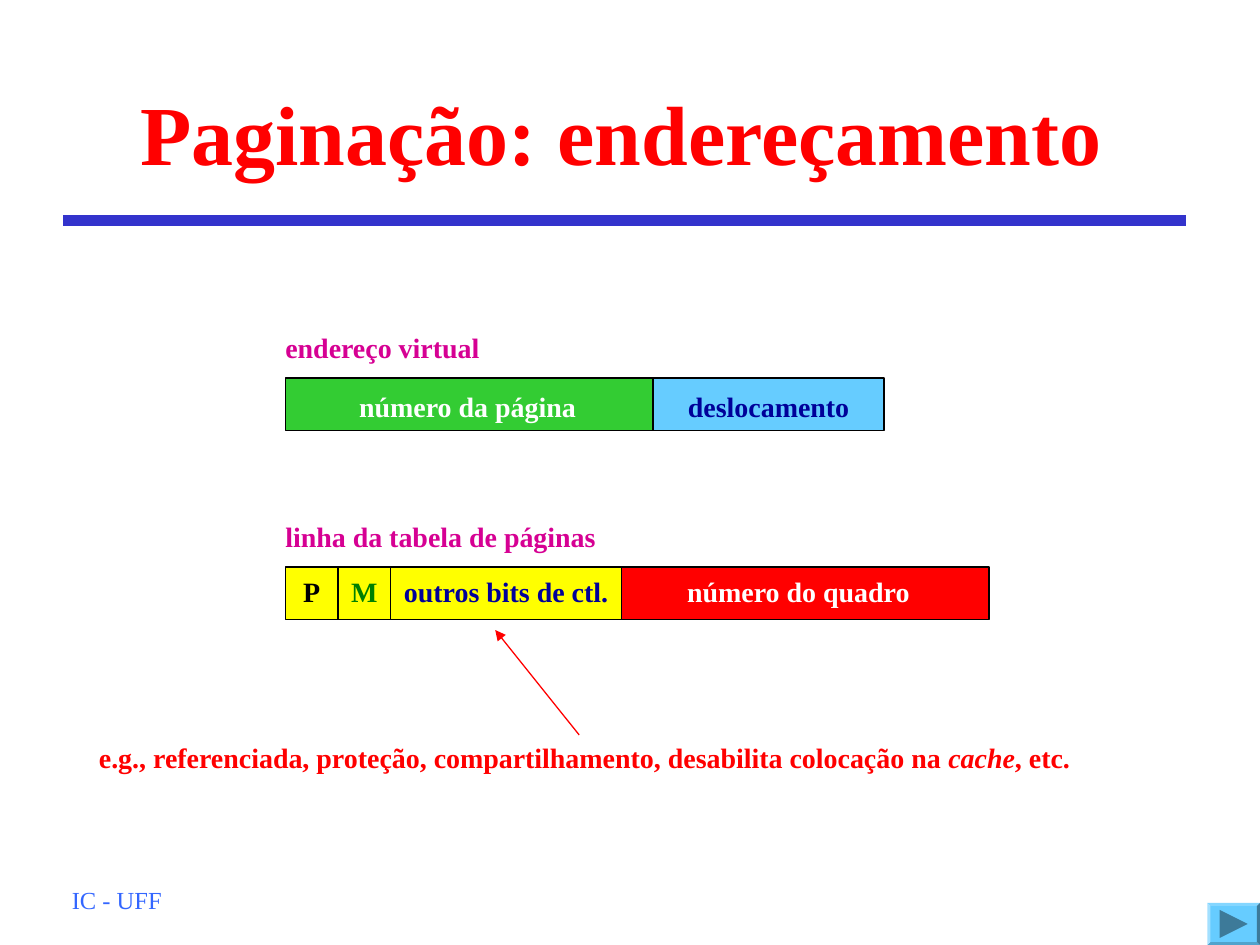
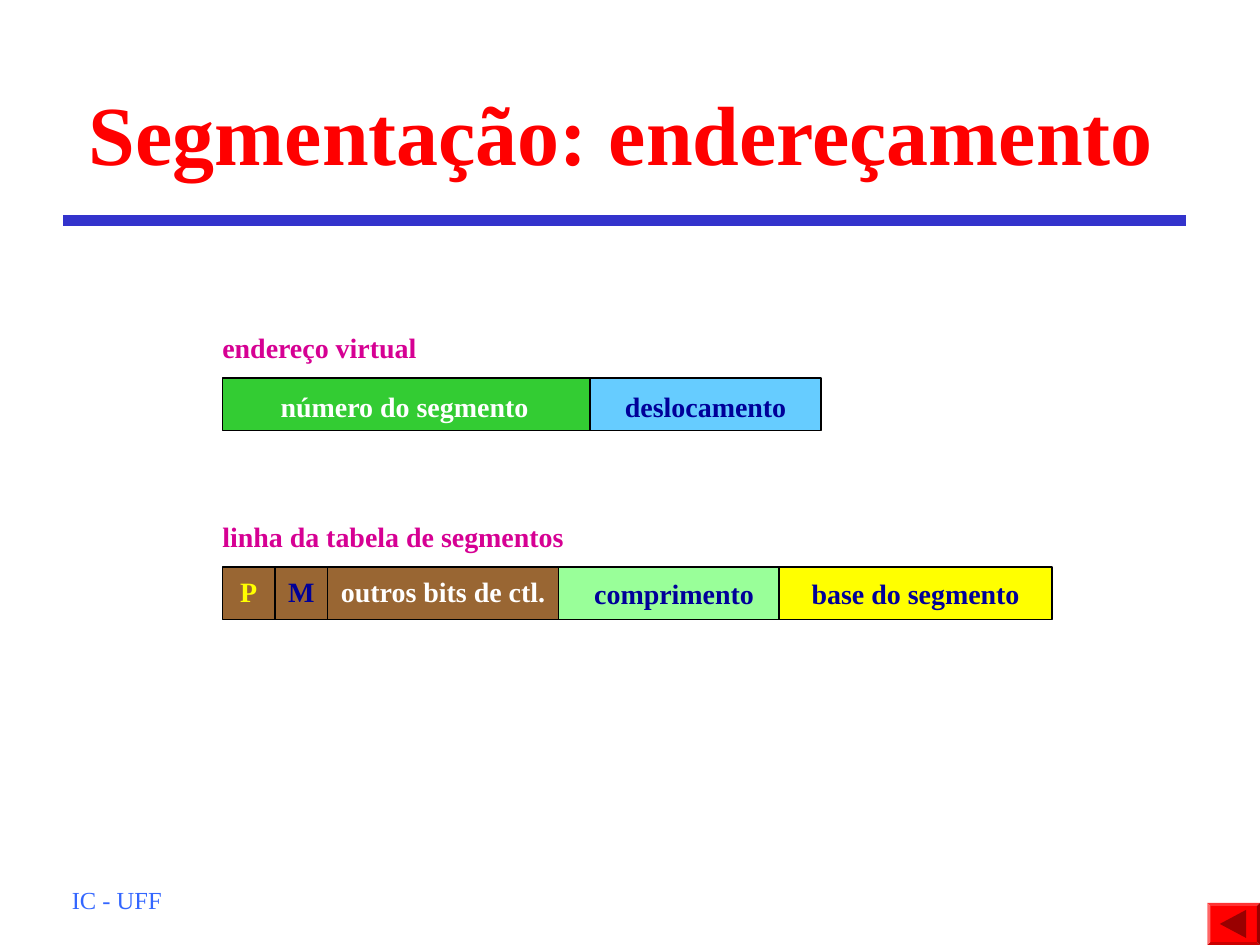
import dataclasses
import pptx
import pptx.util
import pptx.dml.color
import pptx.enum.shapes
import pptx.enum.text
import lxml.etree
import pptx.oxml.ns

Pt = pptx.util.Pt
SHAPE = pptx.enum.shapes.MSO_SHAPE
ALIGN = pptx.enum.text.PP_ALIGN
ANCHOR = pptx.enum.text.MSO_ANCHOR

HUES = {
    "red": "FF0000", "rule": "3333CC", "foot": "3366FF", "green": "33CC33",
    "sky": "66CCFF", "yellow": "FFFF00", "brown": "996633", "mint": "99FF99",
    "navy": "000099", "black": "000000", "white": "FFFFFF", "leaf": "008000",
    "pink": "D60093", "teal": "3D7A99", "maroon": "990000",
}
FACE = "Times New Roman"
TITLE = {"name": FACE, "size": Pt(48), "bold": True}
LABEL = {"name": FACE, "size": Pt(16), "bold": True}
FOOT = {"name": FACE, "size": Pt(14), "bold": False}
INSETS = {"margin_left": Pt(7.2), "margin_right": Pt(7.2),
          "margin_top": Pt(3.6), "margin_bottom": Pt(3.6)}
TALL = 30
TOP, LOW = 216, 324


@dataclasses.dataclass
class Cell:
    text: str
    fill: str
    ink: str
    width: float
    lap: float = 0
    shift: float = 0


def hue(name):
    return pptx.dml.color.RGBColor.from_string(HUES[name])


def apply(item, values):
    for key, value in values.items():
        setattr(item, key, value)


def write(frame, runs, ink, style, align=ALIGN.LEFT, **extra):
    apply(frame, {**INSETS, "vertical_anchor": ANCHOR.MIDDLE, "word_wrap": False,
                  "auto_size": pptx.enum.text.MSO_AUTO_SIZE.NONE, **extra})
    line = frame.paragraphs[0]
    line.alignment = align
    for text, slant in runs:
        run = line.add_run()
        run.text = text
        apply(run.font, {**style, "italic": slant})
        run.font.color.rgb = hue(ink)


def paint(shape, fill, edge=None):
    shape.shadow.inherit = False
    shape.fill.solid()
    shape.fill.fore_color.rgb = hue(fill)
    if edge:
        shape.line.color.rgb = hue(edge)
        shape.line.width = Pt(0.75)
    else:
        shape.line.fill.background()


def text(slide, box, runs, ink, style, align=ALIGN.LEFT, **extra):
    shape = slide.shapes.add_textbox(*map(Pt, box))
    write(shape.text_frame, runs, ink, style, align, **extra)


def line(slide, ends, ink, width, arrow=False):
    link = slide.shapes.add_connector(
        pptx.enum.shapes.MSO_CONNECTOR.STRAIGHT, *map(Pt, ends))
    link.line.color.rgb = hue(ink)
    link.line.width = Pt(width)
    props = link._element.spPr
    if arrow:
        head = lxml.etree.SubElement(link.line._get_or_add_ln(),
                                     pptx.oxml.ns.qn("a:headEnd"))
        head.set("type", "triangle")
    lxml.etree.SubElement(props, pptx.oxml.ns.qn("a:effectLst"))


def row(slide, left, top, label, cells, drop):
    text(slide, (left - 7.2, top - 31, 210, 27), [(label, False)], "pink", LABEL)
    for cell in cells:
        left -= cell.lap
        box = slide.shapes.add_shape(
            SHAPE.RECTANGLE, *map(Pt, (left, top, cell.width, TALL)))
        paint(box, cell.fill, "black")
        nudge = 0 if cell.fill in ("mint", "yellow") and cell.width > 132 else drop
        if cell.fill == "mint":
            nudge = 0
        write(box.text_frame, [(cell.text, False)], cell.ink, LABEL, ALIGN.CENTER,
              margin_top=Pt(3.6 + nudge), margin_bottom=Pt(3.6 - nudge),
              margin_left=Pt(7.2 + cell.shift), margin_right=Pt(7.2 - cell.shift))
        left += cell.width


def button(slide, fill, ink, points):
    box = slide.shapes.add_shape(SHAPE.BEVEL, *map(Pt, (690, 516, 30, 24)))
    box.adjustments[0] = 0.07
    paint(box, fill)
    start, *rest = [(Pt(x), Pt(y)) for x, y in points]
    path = slide.shapes.build_freeform(*start)
    path.add_line_segments(rest, close=True)
    paint(path.convert_to_shape(), ink)


def page(deck, title):
    slide = deck.slides.add_slide(deck.slide_layouts[5])
    line(slide, (36, 126, 678, 126), "rule", 6)
    text(slide, (34, 490, 150, 36), [("IC - UFF", False)], "foot", FOOT,
         vertical_anchor=ANCHOR.BOTTOM)
    head = slide.shapes.title
    apply(head, {"left": Pt(32), "top": Pt(18), "width": Pt(646), "height": Pt(90)})
    write(head.text_frame, [(title, False)], "red", TITLE, ALIGN.CENTER,
          vertical_anchor=ANCHOR.BOTTOM, word_wrap=True)
    return slide


def bits(fill, inks):
    names = ("P", "M", "outros bits de ctl.")
    return [Cell(name, fill, ink, width)
            for name, ink, width in zip(names, inks, (30, 30, 132))]


def virtual(slide, left, name):
    row(slide, left, TOP, "endereço virtual",
        [Cell(name, "green", "white", 210, shift=-1),
         Cell("deslocamento", "sky", "navy", 132)], 1)


def main():
    deck = pptx.Presentation()
    apply(deck, {"slide_width": Pt(720), "slide_height": Pt(540)})

    slide = page(deck, "Paginação: endereçamento")
    virtual(slide, 163.2, "número da página")
    row(slide, 163.2, LOW, "linha da tabela de páginas",
        bits("yellow", ("black", "leaf", "navy"))
        + [Cell("número do quadro", "red", "white", 210, shift=-4)], -1)
    text(slide, (49, 419, 570, 27),
         [("e.g., referenciada, proteção, compartilhamento, desabilita colocação na ", False),
          ("cache", True), (", etc.", False)], "red", LABEL, ALIGN.CENTER)
    line(slide, (283, 360, 331, 420), "red", 0.75, arrow=True)
    button(slide, "sky", "teal", [(697, 520), (713, 528), (697, 536)])

    slide = page(deck, "Segmentação: endereçamento")
    virtual(slide, 127.2, "número do segmento")
    row(slide, 127.2, LOW, "linha da tabela de segmentos",
        bits("brown", ("yellow", "navy", "white"))
        + [Cell("comprimento", "mint", "navy", 132),
           Cell("base do segmento", "yellow", "navy", 156, lap=6)], -1)
    button(slide, "red", "maroon", [(697, 528), (712, 520), (712, 536)])

    deck.save("out.pptx")


if __name__ == "__main__":
    main()
